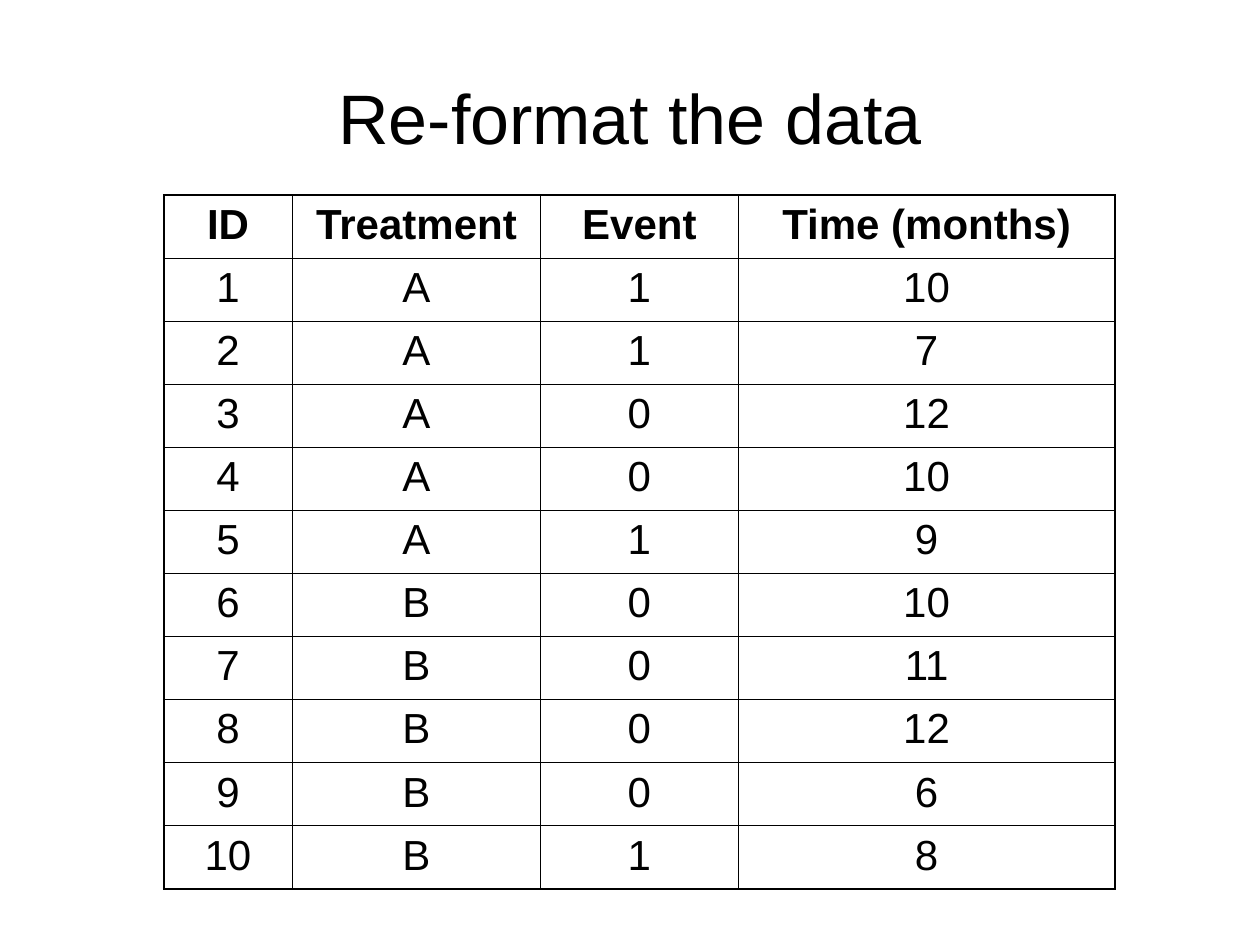
from dataclasses import dataclass
from typing import NamedTuple

from lxml import etree
from pptx import Presentation
from pptx import util as u
from pptx.dml.color import RGBColor
from pptx.enum import text
from pptx.oxml.ns import qn


@dataclass(frozen=True)
class Theme:
    font: str = "Arial"
    ink: str = "000000"
    title_size: float = 40
    cell_size: float = 24
    space_before: float = 6
    inner_rule: float = 0.45
    outer_rule: float = 1.08


class Column(NamedTuple):
    heading: str
    width: float  # inches
    values: list[str]


THEME = Theme()
SLIDE_WIDTH, SLIDE_HEIGHT = u.Inches(10), u.Inches(7.5)
ROW_HEIGHT = u.Inches(0.5)
TABLE_LEFT, TABLE_TOP = u.Inches(1.3), u.Inches(1.55)

COLUMNS = [
    Column("ID", 1.02, [str(n) for n in range(1, 11)]),
    Column("Treatment", 1.97, list("AAAAABBBBB")),
    Column("Event", 1.57, list("1100100001")),
    Column("Time (months)", 2.99, "10 7 12 10 9 10 11 12 6 8".split()),
]


def write(frame, wording: str, size: float, bold: bool = False):
    """Put one centred line in a text frame and return its paragraph."""
    line = frame.paragraphs[0]
    line.text = wording
    line.alignment = text.PP_ALIGN.CENTER
    line.font.name = THEME.font
    line.font.size = u.Pt(size)
    line.font.bold = bold
    line.font.color.rgb = RGBColor.from_string(THEME.ink)
    return line


def rule_cell(cell, outer_sides: dict[str, bool]) -> None:
    """Draw the four borders of a cell, heavier on the table's outline."""
    props = cell._tc.get_or_add_tcPr()
    for place, (side, is_outer) in enumerate(outer_sides.items()):
        width = THEME.outer_rule if is_outer else THEME.inner_rule
        border = etree.Element(qn(f"a:{side}"), w=str(int(u.Pt(width))))
        fill = etree.SubElement(border, qn("a:solidFill"))
        etree.SubElement(fill, qn("a:srgbClr"), val=THEME.ink)
        props.insert(place, border)


def add_title(slide, wording: str) -> None:
    box = slide.shapes.add_textbox(
        int(SLIDE_WIDTH * 0.05), int(SLIDE_HEIGHT * 0.04),
        int(SLIDE_WIDTH * 0.9), TABLE_TOP - int(SLIDE_HEIGHT * 0.04))
    box.text_frame.word_wrap = True
    box.text_frame.vertical_anchor = text.MSO_ANCHOR.MIDDLE
    write(box.text_frame, wording, THEME.title_size)


def add_data_table(slide, columns: list[Column]) -> None:
    row_count = len(columns[0].values) + 1
    width = u.Inches(sum(column.width for column in columns))
    table = slide.shapes.add_table(
        row_count, len(columns), TABLE_LEFT, TABLE_TOP,
        width, ROW_HEIGHT * row_count).table
    table.horz_banding = False

    for c, column in enumerate(columns):
        table.columns[c].width = u.Inches(column.width)
        for r, value in enumerate([column.heading, *column.values]):
            cell = table.cell(r, c)
            cell.fill.background()
            line = write(cell.text_frame, value, THEME.cell_size, bold=r == 0)
            line.space_before = u.Pt(THEME.space_before)
            rule_cell(cell, {
                "lnL": c == 0,
                "lnR": c == len(columns) - 1,
                "lnT": r == 0,
                "lnB": r == row_count - 1,
            })


def main() -> None:
    deck = Presentation()
    deck.slide_width, deck.slide_height = SLIDE_WIDTH, SLIDE_HEIGHT
    slide = deck.slides.add_slide(deck.slide_layouts[6])

    # Heading
    add_title(slide, "Re-format the data")

    # Survival data, one patient a row
    add_data_table(slide, COLUMNS)

    deck.save("out.pptx")


if __name__ == "__main__":
    main()
